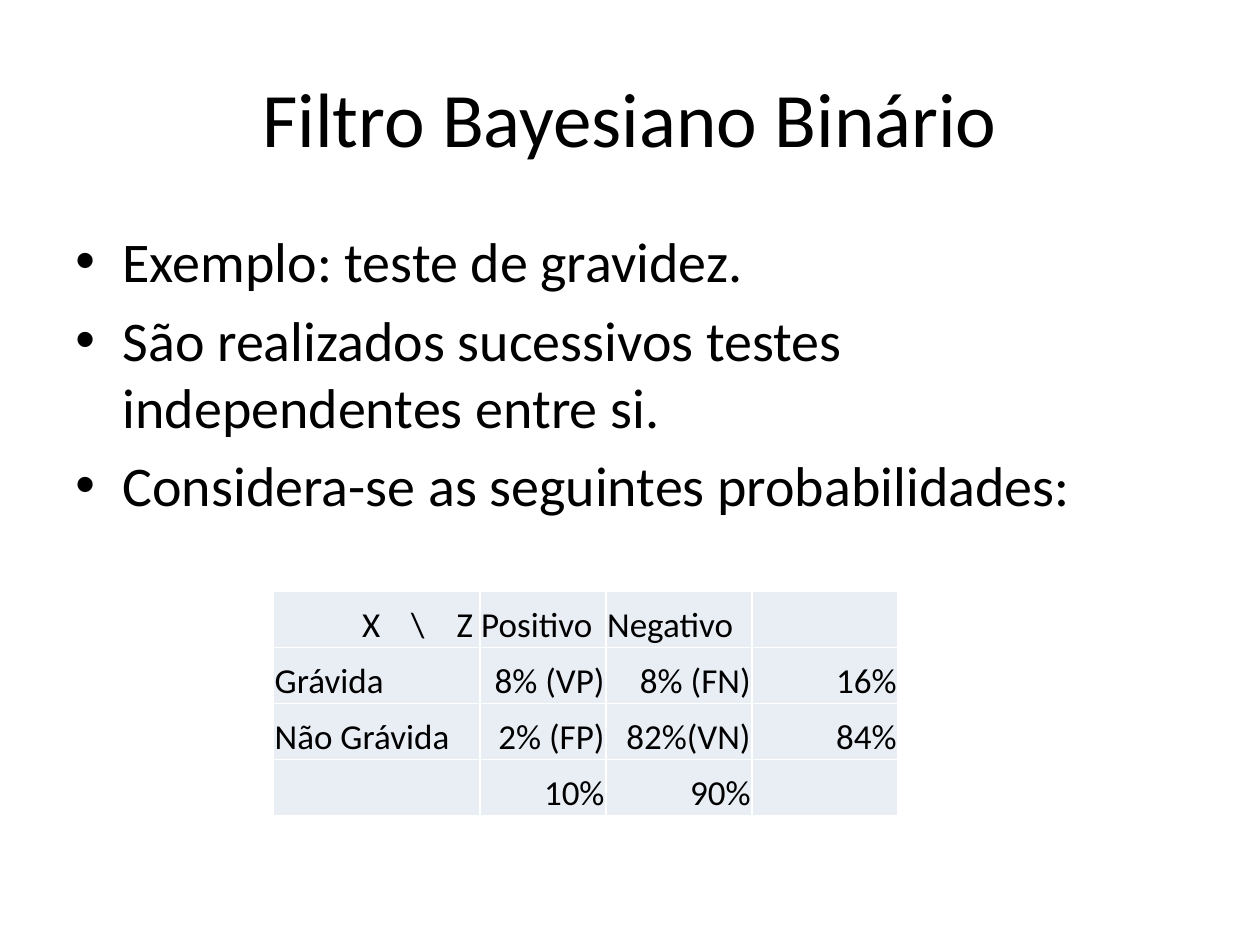
from lxml import etree
from pptx import Presentation
from pptx.dml.color import RGBColor
from pptx.enum.text import MSO_ANCHOR, PP_ALIGN
from pptx.oxml.ns import qn
from pptx.util import Pt

MIDDLE, BOTTOM = MSO_ANCHOR.MIDDLE, MSO_ANCHOR.BOTTOM
LEFT, CENTER, RIGHT = PP_ALIGN.LEFT, PP_ALIGN.CENTER, PP_ALIGN.RIGHT
TITLE_ONLY = 5
FONT = "Calibri"
COLORS = {"text": "000000", "cell": "E9EDF4", "border": "FFFFFF"}

BULLETS = [
    "Exemplo: teste de gravidez.",
    "São realizados sucessivos testes independentes entre si.",
    "Considera-se as seguintes probabilidades:",
]
PROBABILITIES = [
    ["\tX\t\\\tZ", "Positivo", "Negativo", ""],
    ["Grávida", "8% (VP)", "8% (FN)", "16%"],
    ["Não Grávida", "2% (FP)", "82%(VN)", "84%"],
    ["", "10%", "90%", ""],
]
COLUMN_WIDTHS = [118, 72, 83.5, 83.5]
HEADER_TABS = [50, 78, 104]


def format_paragraph(paragraph, size, alignment):
    """Set the alignment and font of a paragraph."""
    paragraph.alignment = alignment
    paragraph.font.name = FONT
    paragraph.font.size = Pt(size)
    paragraph.font.color.rgb = RGBColor.from_string(COLORS["text"])


def add_bullet(paragraph, indent):
    """Give a paragraph a hanging round bullet."""
    properties = paragraph._p.get_or_add_pPr()
    properties.set("marL", str(Pt(indent)))
    properties.set("indent", str(-Pt(indent)))
    etree.SubElement(properties, qn("a:buFont"), typeface="Arial")
    etree.SubElement(properties, qn("a:buChar"), char="•")


def add_tab_stops(paragraph, positions):
    """Add left tab stops at the given positions."""
    properties = paragraph._p.get_or_add_pPr()
    tab_list = etree.SubElement(properties, qn("a:tabLst"))
    for position in positions:
        etree.SubElement(tab_list, qn("a:tab"), pos=str(Pt(position)), algn="l")


def add_borders(cell, width):
    """Draw a solid border on all four sides of a cell."""
    properties = cell._tc.get_or_add_tcPr()
    for side in ("a:lnL", "a:lnR", "a:lnT", "a:lnB"):
        line = etree.SubElement(properties, qn(side), w=str(Pt(width)))
        fill = etree.SubElement(line, qn("a:solidFill"))
        etree.SubElement(fill, qn("a:srgbClr"), val=COLORS["border"])


def place_title(slide, left, top, width, height):
    """Place the slide title in its box."""
    title = slide.shapes.title
    title.left, title.top = Pt(left), Pt(top)
    title.width, title.height = Pt(width), Pt(height)
    title.text_frame.text = "Filtro Bayesiano Binário"
    title.text_frame.vertical_anchor = MIDDLE
    format_paragraph(title.text_frame.paragraphs[0], 44, CENTER)


def place_bullets(slide, left, top, width, height):
    """Place the bulleted text in its box."""
    box = slide.shapes.add_textbox(Pt(left), Pt(top), Pt(width), Pt(height))
    frame = box.text_frame
    frame.word_wrap = True
    frame.text = "\n".join(BULLETS)
    for paragraph in frame.paragraphs:
        add_bullet(paragraph, 27)
        paragraph.space_before = Pt(6.4)
        format_paragraph(paragraph, 32, LEFT)


def place_table(slide, left, top, width, height):
    """Place the probability table in its box."""
    table = slide.shapes.add_table(
        len(PROBABILITIES), len(COLUMN_WIDTHS), Pt(left), Pt(top), Pt(width), Pt(height)
    ).table
    table.first_row = False
    table.horz_banding = False
    for column, column_width in zip(table.columns, COLUMN_WIDTHS):
        column.width = Pt(column_width)
    for row_index, row in enumerate(PROBABILITIES):
        for column_index, text in enumerate(row):
            cell = table.cell(row_index, column_index)
            add_borders(cell, 1)
            cell.fill.solid()
            cell.fill.fore_color.rgb = RGBColor.from_string(COLORS["cell"])
            cell.vertical_anchor = BOTTOM
            cell.margin_left = cell.margin_right = cell.margin_top = Pt(0.75)
            cell.margin_bottom = Pt(0)
            cell.text = text
            paragraph = cell.text_frame.paragraphs[0]
            if "\t" in text:
                add_tab_stops(paragraph, HEADER_TABS)
            is_value = row_index > 0 and column_index > 0
            format_paragraph(paragraph, 20, RIGHT if is_value else LEFT)


def main():
    """Build and save the presentation."""
    presentation = Presentation()
    presentation.slide_width, presentation.slide_height = Pt(720), Pt(540)
    slide = presentation.slides.add_slide(presentation.slide_layouts[TITLE_ONLY])
    place_title(slide, 36, 21.6, 648, 90)
    place_bullets(slide, 36, 126, 648, 356.4)
    place_table(slide, 156.25, 338, sum(COLUMN_WIDTHS), 128)
    presentation.save("out.pptx")


if __name__ == "__main__":
    main()
